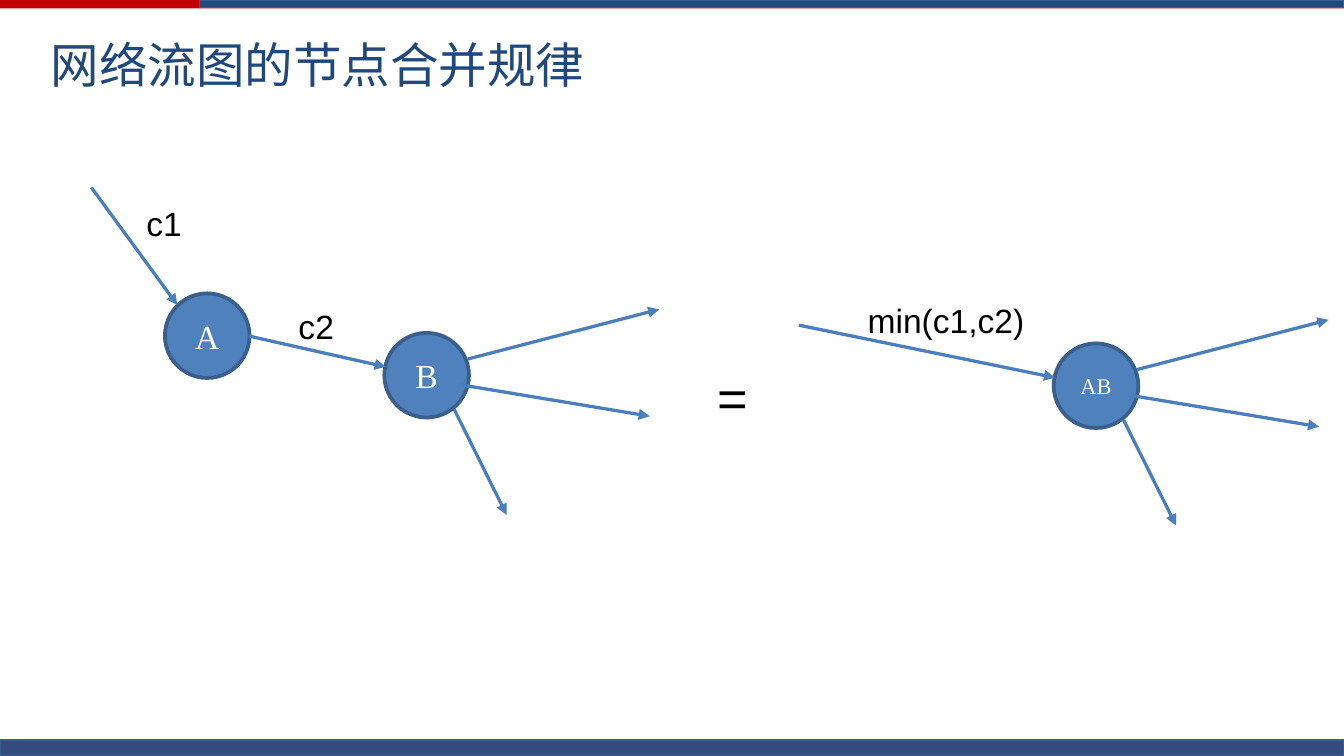
"""Build a slide on merging the nodes of a flow network."""
from dataclasses import dataclass

from lxml import etree
from pptx import Presentation, util as u
from pptx.dml.color import RGBColor
from pptx.enum import shapes, text
from pptx.oxml import ns


@dataclass(frozen=True)
class Theme:
    red: str = "C00000"
    navy: str = "1F497D"
    foot: str = "002060"
    edge: str = "3A5F8C"
    node: str = "4F81BD"
    arrow: str = "4B7EBC"
    black: str = "000000"
    white: str = "FFFFFF"
    head: str = "Noto Sans CJK SC"
    serif: str = "Times New Roman"
    sans: str = "Arial"
    title: int = 26
    sign: int = 28
    body: int = 18
    small: int = 12
    rim: float = 2
    line: float = 1.75


T = Theme()
WIDE = 10
HIGH = WIDE * 9 / 16
COLS, ROWS = 100, 56.25
SIZE = 6.3

TITLE = "网络流图的节点合并规律"
BARS = [
    ((0, 0, 100, 0.63), T.red, None, 100),
    ((14.83, 0, 85.17, 0.55), T.navy, T.edge, 100),
    ((0, 55.07, 100, 1.18), T.foot, T.edge, 80),
]
NODES = [
    ("A", 12.27, 21.83, T.body, False),
    ("B", 28.6, 24.77, T.body, True),
    ("AB", 78.4, 25.55, T.small, True),
]
FAN = [
    ((5.2, 5.7), (9.1, 13.55)),
    ((5.6, 3.85), (19.75, 6.2)),
    ((6.2, 1.95), (20.45, -1.75)),
]
FLOWS = [
    ((6.8, 13.95), (13.2, 22.7)),
    ((18.5, 25), (28.7, 27.3)),
    ((59.45, 24.2), (78.5, 28.1)),
]
LABELS = [
    ("c1", (9.9, 14.6, 4.7, 4), T.body),
    ("c2", (21.23, 22.3, 4.7, 4), T.body),
    ("min(c1,c2)", (63.57, 21.83, 13.8, 4), T.body),
    ("=", (52.37, 26.7, 4.3, 5.7), T.sign),
]


def grid(*vals):
    steps = (WIDE / COLS, HIGH / ROWS)
    return [u.Inches(v * steps[i % 2]) for i, v in enumerate(vals)]


def tint(name):
    return RGBColor.from_string(name)


def write(shape, words, font, size, color):
    shape.text_frame.text = words
    run = shape.text_frame.paragraphs[0].runs[0]
    run.font.name = font
    run.font.size = u.Pt(size)
    run.font.color.rgb = tint(color)
    east = etree.SubElement(run.font._element, ns.qn("a:ea"))
    east.set("typeface", font)


def solid(slide, kind, box, fill, edge, width=0):
    shape = slide.shapes.add_shape(kind, *grid(*box))
    shape.shadow.inherit = False
    shape.fill.solid()
    shape.fill.fore_color.rgb = tint(fill)
    if edge:
        shape.line.color.rgb = tint(edge)
        shape.line.width = u.Pt(width)
    else:
        shape.line.fill.background()
    return shape


def bar(slide, box, fill, edge, share):
    shape = solid(slide, shapes.MSO_SHAPE.RECTANGLE, box, fill, edge)
    if share < 100:
        color = shape.fill._xPr.find(".//" + ns.qn("a:srgbClr"))
        etree.SubElement(color, ns.qn("a:alpha")).set("val", str(share * 1000))


def arrow(slide, start, end):
    link = slide.shapes.add_connector(
        shapes.MSO_CONNECTOR.STRAIGHT, *grid(*start, *end))
    link.line.color.rgb = tint(T.arrow)
    link.line.width = u.Pt(T.line)
    tip = etree.SubElement(link.line._get_or_add_ln(), ns.qn("a:tailEnd"))
    tip.set("type", "triangle")
    etree.SubElement(link._element.spPr, ns.qn("a:effectLst"))


def node(slide, name, x, y, size, fan):
    shape = solid(slide, shapes.MSO_SHAPE.OVAL, (x, y, SIZE, SIZE),
                  T.node, T.edge, T.rim)
    write(shape, name, T.serif, size, T.white)
    frame = shape.text_frame
    frame.vertical_anchor = text.MSO_ANCHOR.MIDDLE
    frame.paragraphs[0].alignment = text.PP_ALIGN.CENTER
    if fan:
        for ends in FAN:
            arrow(slide, *((x + dx, y + dy) for dx, dy in ends))


def label(slide, words, box, size, font=T.sans, color=T.black, wrap=False):
    shape = slide.shapes.add_textbox(*grid(*box))
    shape.text_frame.word_wrap = wrap
    write(shape, words, font, size, color)


def main():
    deck = Presentation()
    deck.slide_width, deck.slide_height = u.Inches(WIDE), u.Inches(HIGH)
    slide = deck.slides.add_slide(deck.slide_layouts[6])
    for item in BARS:
        bar(slide, *item)
    label(slide, TITLE, (2.77, 2.1, 96.1, 13.3), T.title, T.head, T.navy, True)
    for item in NODES:
        node(slide, *item)
    for ends in FLOWS:
        arrow(slide, *ends)
    for item in LABELS:
        label(slide, *item)
    deck.save("out.pptx")


if __name__ == "__main__":
    main()
